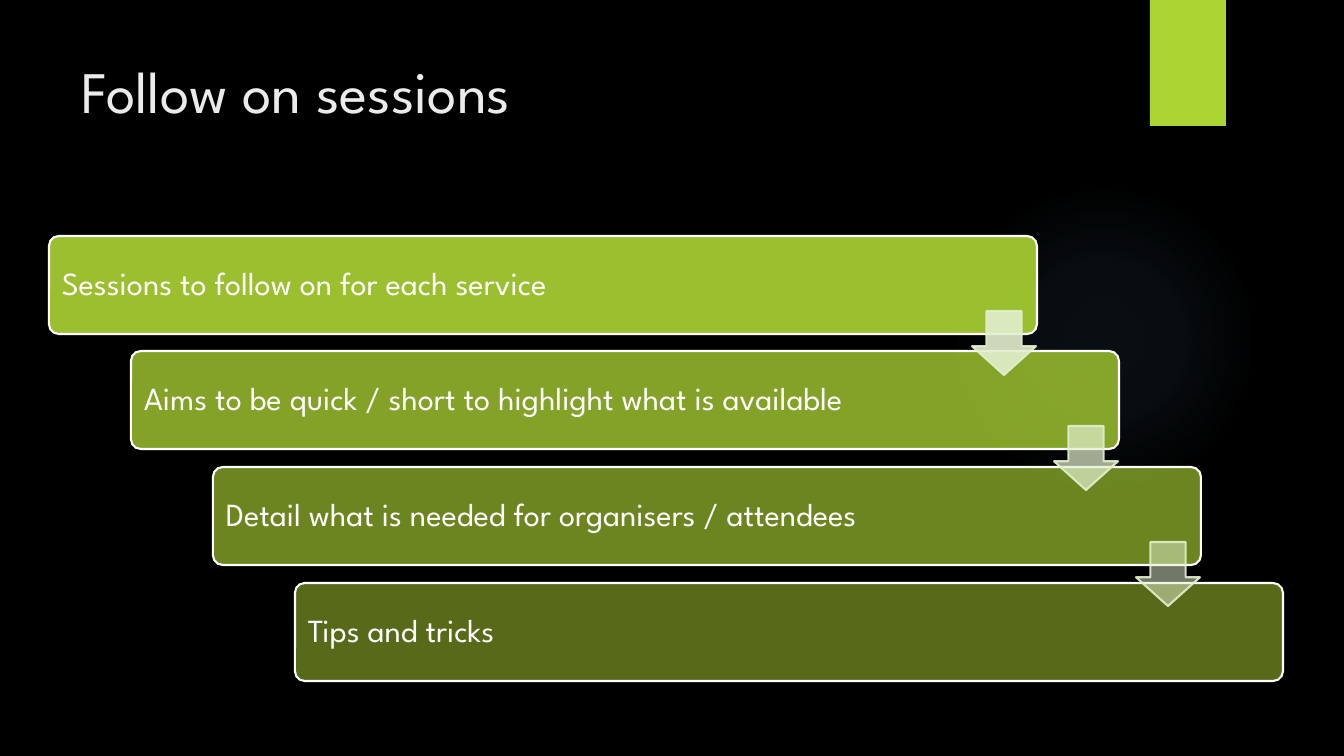
"""Build the "Follow on sessions" slide: four stepped bars joined by arrows."""
import lxml.etree
import pptx
import pptx.dml.color
import pptx.enum.shapes
import pptx.enum.text
import pptx.oxml.ns
import pptx.util

PX = 914400 / 100.8
FONT = "League Spartan"
SHAPES = pptx.enum.shapes.MSO_SHAPE
ANCHORS = pptx.enum.text.MSO_ANCHOR
qn = pptx.oxml.ns.qn


def paint(color_format, hex_color, opacity=100):
    """Set a colour and, below 100 percent, its opacity."""
    color_format.rgb = pptx.dml.color.RGBColor.from_string(hex_color)
    if opacity < 100:
        for color in color_format._xFill.iter(qn("a:srgbClr")):
            lxml.etree.SubElement(color, qn("a:alpha"), val=str(opacity * 1000))


def add_shape(kind, left, top, width, height, hex_color, opacity=100):
    """Add a filled preset shape without outline or shadow, placed in px."""
    box = [round(length * PX) for length in (left, top, width, height)]
    shape = slide.shapes.add_shape(kind, *box)
    shape.shadow.inherit = False
    shape.line.fill.background()
    shape.fill.solid()
    paint(shape.fill.fore_color, hex_color, opacity)
    return shape


presentation = pptx.Presentation()
presentation.slide_width = round(1344 * PX)
presentation.slide_height = round(756 * PX)
slide = presentation.slides.add_slide(presentation.slide_layouts[5])
slide.background.fill.solid()
paint(slide.background.fill.fore_color, "000000")

glow = add_shape(SHAPES.OVAL, 949, 184, 310, 310, "7AC4F0")
glow.fill.gradient()
gradient = glow._element.spPr.find(qn("a:gradFill"))
for child in list(gradient):
    gradient.remove(child)
stops = lxml.etree.SubElement(gradient, qn("a:gsLst"))
for position, opacity in ((0, 7), (36, 6), (69, 0)):
    stop = lxml.etree.SubElement(stops, qn("a:gs"), pos=str(position * 1000))
    color = lxml.etree.SubElement(stop, qn("a:srgbClr"), val="7AC4F0")
    lxml.etree.SubElement(color, qn("a:alpha"), val=str(opacity * 1000))
circle = lxml.etree.SubElement(gradient, qn("a:path"), path="circle")
lxml.etree.SubElement(circle, qn("a:fillToRect"), l="50000", t="50000", r="50000", b="50000")

add_shape(SHAPES.RECTANGLE, 1150, 0, 76, 126, "ACD433")

title = slide.shapes.title
title.left, title.top, title.width, title.height = [round(n * PX) for n in (71, 50, 1037, 155)]
title.text_frame.text = "Follow on sessions"
title.text_frame.vertical_anchor = ANCHORS.TOP
title.text_frame.auto_size = pptx.enum.text.MSO_AUTO_SIZE.NONE
paragraph = title.text_frame.paragraphs[0]
paragraph.alignment = pptx.enum.text.PP_ALIGN.LEFT
paragraph.font.name = FONT
paragraph.font.size = pptx.util.Pt(42)
paint(paragraph.font.color, "EBEBEB")

STEPS = [
    ("Sessions to follow on for each service", 90),
    ("Aims to be quick / short to highlight what is available", 77),
    ("Detail what is needed for organisers / attendees", 63),
    ("Tips and tricks", 50),
]
bar_places = [(49 + 82 * i, 236 + 347 * i // 3) for i in range(len(STEPS))]

for (text, opacity), (left, top) in zip(STEPS, bar_places):
    bar = add_shape(SHAPES.ROUNDED_RECTANGLE, left, top, 988, 98, "ACD433", opacity)
    bar.adjustments[0] = 0.1
    bar.line.width = pptx.util.Pt(1.5)
    paint(bar.line.color, "FFFFFF")
    frame = bar.text_frame
    frame.word_wrap = True
    frame.vertical_anchor = ANCHORS.MIDDLE
    frame.margin_left = frame.margin_right = round(10 * PX)
    frame.text = text
    paragraph = frame.paragraphs[0]
    paragraph.alignment = pptx.enum.text.PP_ALIGN.LEFT
    paragraph.line_spacing = 0.9
    paragraph.font.name = FONT
    paragraph.font.size = pptx.util.Pt(23)
    paint(paragraph.font.color, "FFFFFF")

for (left, top), opacity in zip(bar_places, (90, 70, 50)):
    arrow = add_shape(SHAPES.DOWN_ARROW, left + 923, top + 75, 64, 64, "E3EFCE", opacity)
    arrow.adjustments[0] = 0.55
    arrow.adjustments[1] = 0.45
    arrow.line.width = pptx.util.Pt(1.5)
    paint(arrow.line.color, "E3EFCE", 90)

presentation.save("out.pptx")
